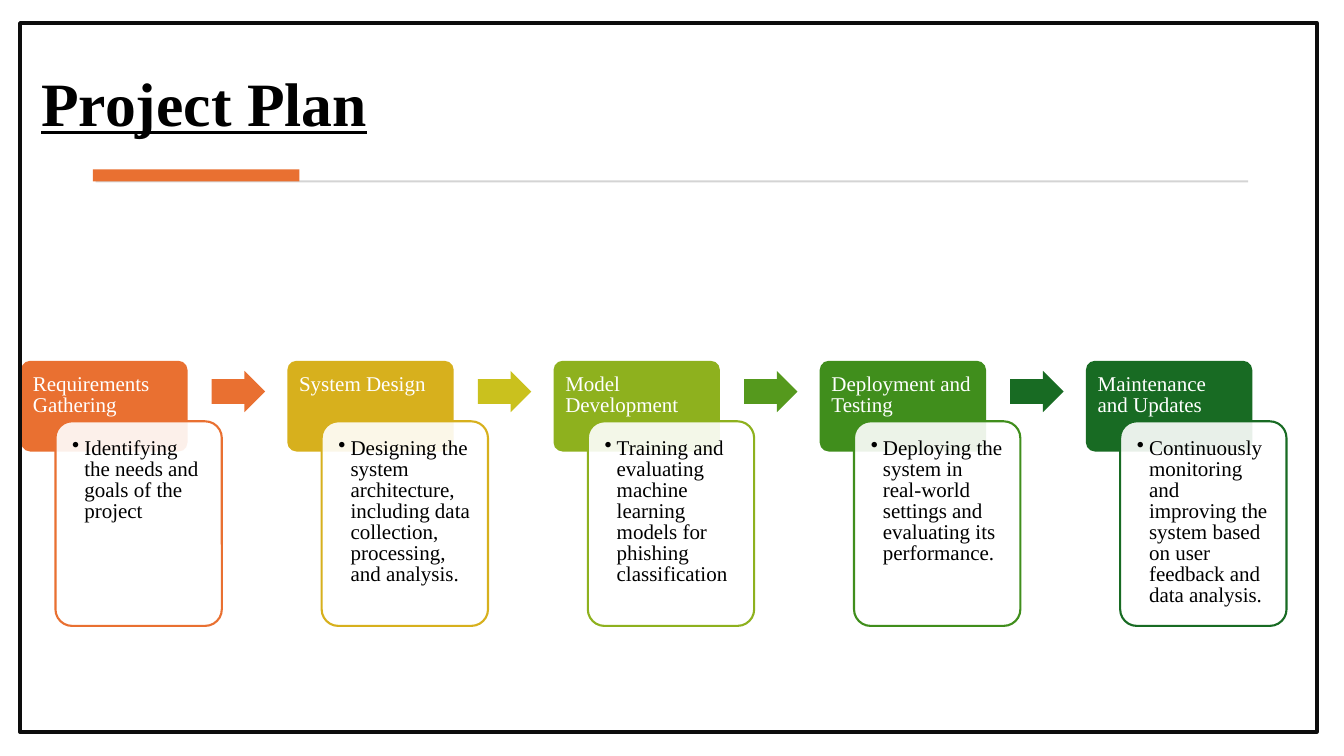
from dataclasses import dataclass

from lxml import etree
from pptx import Presentation
from pptx.dml.color import RGBColor
from pptx.enum import shapes, text
from pptx.oxml import ns
from pptx.util import Inches, Pt


@dataclass(frozen=True)
class Theme:
    font: str = "Times New Roman"
    title_size: int = 44
    body_size: int = 15
    ink: str = "000000"
    paper: str = "FFFFFF"
    frame: str = "0D0D0D"
    rule: str = "D4D4D4"
    accent: str = "E97031"
    steps: tuple = ("E97031", "D7B01D", "8EB11E", "408E1C", "186B23")
    arrows: tuple = ("E97031", "CAC11E", "55991D", "186B23")


THEME = Theme()
SHAPE = shapes.MSO_SHAPE

STEP_LEFT, STEP_PITCH = 0.21, 2.64
BLOCK_WIDTH = 1.65
CARD_SHIFT, ARROW_SHIFT = 0.34, 1.89
HEADER_TOP, ARROW_TOP, CARD_TOP = 3.58, 3.68, 4.18

STEPS = (
    ("Requirements Gathering", 1.18,
     "Identifying the needs and goals of the project", 1.29),
    ("System Design", 1.29,
     "Designing the system architecture, including data collection, "
     "processing, and analysis.", 1.35),
    ("Model Development", 1.15,
     "Training and evaluating machine learning models for phishing "
     "classification", 1.26),
    ("Deployment and Testing", 1.43,
     "Deploying the system in\nreal-world settings and evaluating its "
     "performance.", 1.34),
    ("Maintenance and Updates", 1.15,
     "Continuously monitoring and improving the system based on user "
     "feedback and data analysis.", 1.33),
)


def add_bullet(paragraph, first):
    props = paragraph._p.get_or_add_pPr()
    props.set("marL", str(Inches(0.14)))
    props.set("indent", str(Inches(-0.12 if first else 0)))
    if first:
        etree.SubElement(props, ns.qn("a:buChar")).set("char", "•")


def write(shape, content, *, size, color, insets, spacing=None, bold=False,
          underline=False, bullet=False):
    frame = shape.text_frame
    frame.word_wrap = True
    frame.auto_size = text.MSO_AUTO_SIZE.NONE
    frame.vertical_anchor = text.MSO_ANCHOR.TOP
    left, top, right = insets
    frame.margin_left, frame.margin_top = Inches(left), Inches(top)
    frame.margin_right, frame.margin_bottom = Inches(right), 0
    for index, line in enumerate(content.split("\n")):
        paragraph = frame.add_paragraph() if index else frame.paragraphs[0]
        paragraph.alignment = text.PP_ALIGN.LEFT
        paragraph.space_before = Pt(0)
        if spacing:
            paragraph.line_spacing = spacing
        if bullet:
            add_bullet(paragraph, index == 0)
        run = paragraph.add_run()
        run.text = line
        font = run.font
        font.name, font.size = THEME.font, Pt(size)
        font.bold, font.underline = bold, underline
        font.color.rgb = RGBColor.from_string(color)


def add_block(slide, preset, left, top, width, height, *, fill=None,
              opacity=100, line=None, line_width=1.5):
    block = slide.shapes.add_shape(
        preset, Inches(left), Inches(top), Inches(width), Inches(height))
    block.shadow.inherit = False
    if fill:
        block.fill.solid()
        block.fill.fore_color.rgb = RGBColor.from_string(fill)
        if opacity < 100:
            solid = block.element.spPr.find(ns.qn("a:solidFill"))
            alpha = etree.SubElement(solid[0], ns.qn("a:alpha"))
            alpha.set("val", str(opacity * 1000))
    else:
        block.fill.background()
    if line:
        block.line.color.rgb = RGBColor.from_string(line)
        block.line.width = Pt(line_width)
    else:
        block.line.fill.background()
    return block


def add_rounded(slide, left, top, height, **style):
    block = add_block(slide, SHAPE.ROUNDED_RECTANGLE, left, top,
                      BLOCK_WIDTH, height, **style)
    block.adjustments[0] = 0.1
    return block


def add_title(slide, content):
    title = slide.shapes.title
    title.left, title.top = Inches(0.09), Inches(0.23)
    title.width, title.height = Inches(13.16), Inches(1.55)
    write(title, content, size=THEME.title_size, color=THEME.ink,
          insets=(0.32, 0.41, 0), bold=True, underline=True)


def add_step(slide, left, color, heading, heading_width, detail, detail_width):
    header = add_rounded(slide, left, HEADER_TOP, 0.9, fill=color)
    write(header, heading, size=THEME.body_size, color=THEME.paper,
          insets=(0.09, 0.11, BLOCK_WIDTH - 0.15 - heading_width),
          spacing=Pt(15))
    card = add_rounded(slide, left + CARD_SHIFT, CARD_TOP, 2.03,
                       fill=THEME.paper, opacity=90, line=color)
    write(card, detail, size=THEME.body_size, color=THEME.ink,
          insets=(0.1, 0.13, BLOCK_WIDTH - 0.2 - detail_width),
          spacing=0.83, bullet=True)


def add_arrow(slide, left, color):
    arrow = add_block(slide, SHAPE.RIGHT_ARROW, left, ARROW_TOP, 0.53, 0.41,
                      fill=color)
    arrow.adjustments[0] = 0.6


def main():
    deck = Presentation()
    deck.slide_width, deck.slide_height = Inches(13.33), Inches(7.5)
    slide = deck.slides.add_slide(deck.slide_layouts[5])
    add_title(slide, "Project Plan")
    add_block(slide, SHAPE.RECTANGLE, 0.95, 1.79, 11.43, 0.02, fill=THEME.rule)
    add_block(slide, SHAPE.RECTANGLE, 0.92, 1.68, 2.05, 0.12, fill=THEME.accent)
    for index, (step, color) in enumerate(zip(STEPS, THEME.steps)):
        add_step(slide, STEP_LEFT + index * STEP_PITCH, color, *step)
    for index, color in enumerate(THEME.arrows):
        add_arrow(slide, STEP_LEFT + ARROW_SHIFT + index * STEP_PITCH, color)
    add_block(slide, SHAPE.RECTANGLE, 0.2, 0.23, 12.86, 7.03,
              line=THEME.frame, line_width=3)
    deck.save("out.pptx")


if __name__ == "__main__":
    main()
